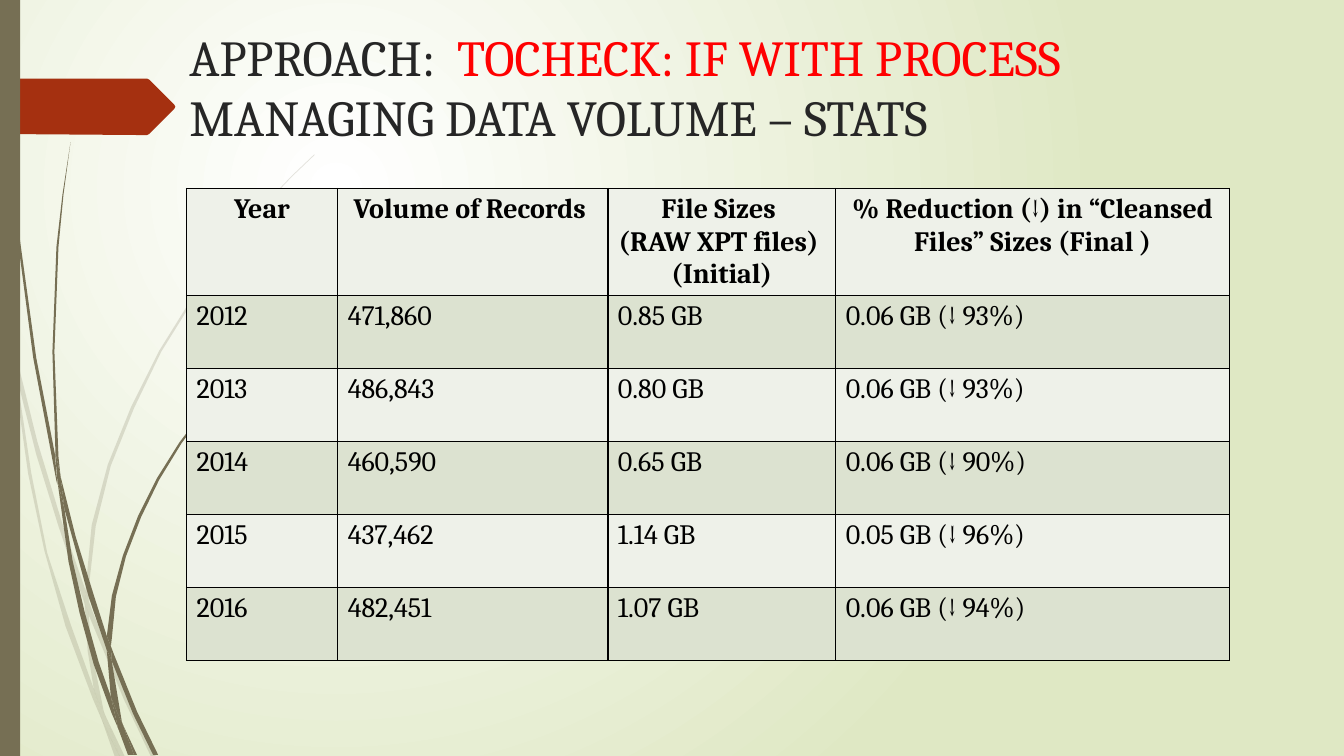
from pptx import Presentation
from pptx.dml.color import RGBColor as RGB
from pptx.enum.shapes import MSO_SHAPE as SHAPE
from pptx.enum.text import MSO_ANCHOR as ANCHOR, PP_ALIGN as ALIGN
from pptx.oxml import parse_xml
from pptx.oxml.ns import nsdecls
from pptx.util import Cm, Pt

OLIVE = RGB(0x76, 0x6F, 0x54)
RUST = RGB(0xA5, 0x30, 0x10)
DARK = RGB(0x26, 0x26, 0x26)
RED = RGB(0xFF, 0x00, 0x00)
BLACK = RGB(0x00, 0x00, 0x00)
PALE = RGB(0xEE, 0xF1, 0xE9)
SAGE = RGB(0xDC, 0xE2, 0xD0)
WHITE = RGB(0xFF, 0xFF, 0xFF)
LIME = RGB(0xDF, 0xE8, 0xC4)
UNIT = Cm(0.0254)


def write(para, text, size=20, color=BLACK, bold=False):
    run = para.add_run()
    run.text = text
    font = run.font
    font.name, font.size, font.bold = "Cambria", Pt(size), bold
    font.color.rgb = color


def paint(shape, color, alpha=100):
    shape.shadow.inherit = False
    shape.line.fill.background()
    shape.fill.solid()
    shape.fill.fore_color.rgb = color
    if alpha < 100:
        tone = shape.fill._xPr.find(".//{*}srgbClr")
        tone.append(parse_xml(f'<a:alpha {nsdecls("a")} val="{alpha * 1000}"/>'))


deck = Presentation()
deck.slide_width, deck.slide_height = Cm(33.87), Cm(19.05)
slide = deck.slides.add_slide(deck.slide_layouts[5])
shapes = slide.shapes

slide._element.cSld.insert(0, parse_xml(
    f'<p:bg {nsdecls("p", "a")}><p:bgPr><a:gradFill rotWithShape="1"><a:gsLst>'
    f'<a:gs pos="0"><a:srgbClr val="{WHITE}"/></a:gs>'
    f'<a:gs pos="100000"><a:srgbClr val="{LIME}"/></a:gs></a:gsLst>'
    '<a:path path="circle"><a:fillToRect l="50000" t="50000" r="100000" b="100000"/></a:path>'
    '</a:gradFill><a:effectLst/></p:bgPr></p:bg>'))

faint = [
    (11, 350, 9, 322, 0, 282, 0, 299, 10, 344),
    (58, 522, 84, 599, 85, 586, 62, 520, 37, 438, 14, 345, 17, 376, 36, 451),
    (92, 607, 88, 596, 88, 610, 123, 694, 150, 751, 155, 751, 127, 692),
    (119, 751, 124, 751, 105, 711),
    (93, 683, 70, 619, 47, 549, 31, 469, 17, 376, 11, 350, 28, 470, 44, 546,
     65, 621, 92, 693, 101, 714, 99, 707),
    (84, 599, 87, 646, 93, 683, 96, 692, 105, 711, 103, 706, 91, 646, 88, 610, 88, 608),
    (88, 584, 95, 522, 110, 462, 133, 405, 160, 349, 193, 296, 229, 245, 268, 198,
     290, 175, 312, 154, 312, 153, 289, 175, 268, 197, 228, 244, 191, 295, 158, 348,
     130, 404, 107, 461, 91, 521, 85, 584, 85, 586, 88, 596),
    (101, 714, 114, 751, 119, 751),
    (88, 608, 88, 610, 88, 596, 85, 586, 84, 599),
    (96, 692, 93, 683, 99, 707, 101, 714, 119, 751, 105, 711),
]
solid = [
    (7, 110, 17, 233, 33, 355, 56, 477, 57, 481, 55, 457, 55, 453, 36, 355, 19, 232,
     8, 109, 5, 48, 4, 0, 3, 0, 4, 48),
    (88, 592, 106, 645, 106, 631, 93, 590, 75, 532, 60, 472, 64, 505),
    (113, 649, 110, 641, 111, 656, 132, 708, 152, 749, 157, 749, 136, 706),
    (110, 691, 98, 657, 84, 607, 72, 556, 64, 505, 57, 477, 68, 557, 79, 608,
     93, 659, 111, 708, 117, 722, 116, 717),
    (60, 472, 58, 453, 54, 349, 58, 245, 63, 193, 70, 141, 62, 193, 56, 245,
     52, 349, 55, 449),
    (133, 749, 136, 749, 122, 719),
    (57, 477, 64, 505, 60, 472, 55, 449, 55, 453),
    (111, 633, 115, 592, 125, 552, 140, 513, 158, 476, 180, 440, 205, 406, 231, 374,
     245, 359, 261, 344, 260, 344, 245, 358, 231, 373, 204, 405, 178, 439, 156, 474,
     137, 512, 122, 551, 111, 591, 106, 631, 110, 641),
    (117, 722, 127, 749, 131, 749),
    (106, 645, 110, 691, 116, 706, 122, 719, 121, 716, 111, 656, 109, 651),
    (106, 645, 109, 651, 111, 656, 110, 641, 106, 631, 106, 633),
    (116, 706, 110, 691, 116, 717, 117, 722, 130, 749, 133, 749, 122, 719),
]
arrow = [(173, 108, 148, 133, 146, 134, 136, 134, 0, 133, 0, 78, 146, 78, 148, 79,
          173, 104, 174, 106)]
for group, color, alpha in ((faint, OLIVE, 20), (solid, OLIVE, 100), (arrow, RUST, 100)):
    for flat in group:
        dots = list(zip(flat[::2], flat[1::2]))
        pen = shapes.build_freeform(*dots[0], scale=UNIT)
        pen.add_line_segments(dots[1:])
        paint(pen.convert_to_shape(), color, alpha)
paint(shapes.add_shape(SHAPE.RECTANGLE, 0, 0, Cm(0.51), Cm(19.05)), OLIVE)

title = shapes.title
title.left, title.top, title.width, title.height = Cm(4.52), Cm(0.53), Cm(24.77), Cm(3.56)
title.text_frame.vertical_anchor = ANCHOR.TOP
head = title.text_frame.paragraphs[0]
head.alignment = ALIGN.LEFT
write(head, "APPROACH:  ", size=36, color=DARK)
write(head, "TOCHECK: IF WITH PROCESS", size=36, color=RED)
head.add_line_break()
write(head, "MANAGING DATA VOLUME – STATS", size=36, color=DARK)

rows = [
    ("Year", "Volume of Records ", "File Sizes \n(RAW XPT files) \n(Initial)",
     "% Reduction (↓) in “Cleansed Files” Sizes (Final )"),
    ("2012", "471,860", "0.85 GB", "0.06 GB (↓ 93%)"),
    ("2013", "486,843", "0.80 GB", "0.06 GB (↓ 93%)"),
    ("2014", "460,590", "0.65 GB", "0.06 GB (↓ 90%)"),
    ("2015", "437,462", "1.14 GB", "0.05 GB (↓ 96%)"),
    ("2016", "482,451", "1.07 GB", "0.06 GB (↓ 94%)"),
]
table = shapes.add_table(6, 4, Cm(4.7), Cm(4.75), Cm(26.31), Cm(11.33)).table
for col, width in zip(table.columns, (3.81, 6.81, 5.74, 9.93)):
    col.width = Cm(width)
for r, row in enumerate(rows):
    table.rows[r].height = Cm(1.84 if r else 2.13)
    for c, text in enumerate(row):
        cell = table.cell(r, c)
        for side in "LRTB":
            cell._tc.get_or_add_tcPr().append(parse_xml(
                f'<a:ln{side} {nsdecls("a")} w="12700"><a:solidFill>'
                f'<a:srgbClr val="{BLACK}"/></a:solidFill></a:ln{side}>'))
        cell.fill.solid()
        cell.fill.fore_color.rgb = SAGE if r % 2 else PALE
        frame = cell.text_frame
        for n, line in enumerate(text.split("\n")):
            para = frame.add_paragraph() if n else frame.paragraphs[0]
            para.alignment = ALIGN.LEFT if r else ALIGN.CENTER
            start, mark, end = line.partition("↓")
            for part, bold in ((start, not r), (mark, True), (end, not r)):
                if part:
                    write(para, part, bold=bold)

deck.save("out.pptx")
